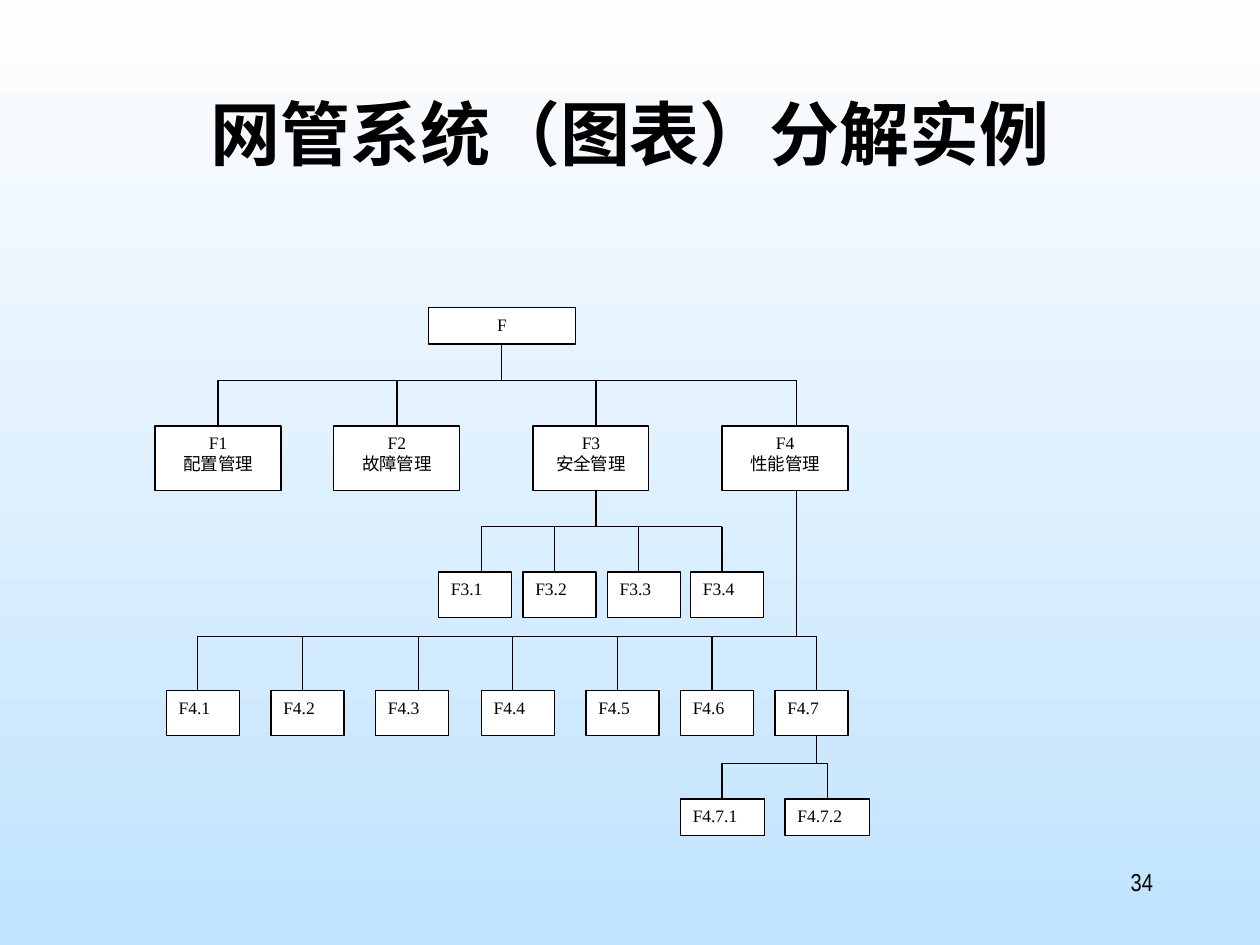
from lxml import etree
from pptx import Presentation
from pptx.dml.color import RGBColor
from pptx.enum.shapes import MSO_CONNECTOR, MSO_SHAPE
from pptx.enum.text import MSO_ANCHOR, PP_ALIGN
from pptx.oxml.ns import qn
from pptx.util import Pt

TITLE = "网管系统（图表）分解实例"
PAGE = "34"
CJK, SERIF, NARROW = "Noto Sans CJK SC", "Times New Roman", "Arial Narrow"
BLACK, WHITE = "000000", "FFFFFF"

ROOT = ("F", 244.8, 175.7, 84.2, 20.9)  # text, left, top, width, height

# Each branch: its parent, trunk x, bus y, box top and height, text alignment,
# and children as (text, left, width, x of the line from the bus)
BRANCHES = [
    dict(parent="F", trunk=286.6, bus=217.4, top=243.4, height=36.7,
         align=PP_ALIGN.CENTER, children=[
             ("F1\n配置管理", 88.6, 72, 124.6),
             ("F2\n故障管理", 190.8, 72, 226.8),
             ("F3\n安全管理", 304.6, 66.2, 340.6),
             ("F4\n性能管理", 412.6, 72, 455)]),
    dict(parent="F3", trunk=340.6, bus=301, top=326.9, height=25.9,
         align=PP_ALIGN.JUSTIFY, children=[
             ("F3.1", 250.6, 41.8, 275),
             ("F3.2", 298.8, 41.8, 316.8),
             ("F3.3", 347, 41.8, 365),
             ("F3.4", 394.6, 41.8, 412.6)]),
    dict(parent="F4", trunk=455, bus=363.6, top=394.6, height=25.9,
         align=PP_ALIGN.JUSTIFY, children=[
             ("F4.1", 95, 41.8, 113),
             ("F4.2", 154.8, 41.8, 172.8),
             ("F4.3", 214.6, 41.8, 239),
             ("F4.4", 275, 41.8, 293),
             ("F4.5", 334.8, 41.8, 352.8),
             ("F4.6", 388.8, 41.8, 406.8),
             ("F4.7", 442.8, 41.8, 466.6)]),
    dict(parent="F4.7", trunk=466.6, bus=436.3, top=456.5, height=20.9,
         align=PP_ALIGN.JUSTIFY, children=[
             ("F4.7.1", 388.8, 48.2, 412.6),
             ("F4.7.2", 448.6, 48.2, 473)]),
]


def rgb(value):
    return RGBColor.from_string(value)


def write(s, text, size, font, align, bold=False):
    tf = s.text_frame
    tf.word_wrap = True
    tf.vertical_anchor = MSO_ANCHOR.TOP
    tf.text = text
    for p in tf.paragraphs:
        p.alignment = align
        for r in p.runs:
            r.font.size = Pt(size)
            r.font.bold = bold
            r.font.name = font
            r.font.color.rgb = rgb(BLACK)
            ea = etree.Element(qn("a:ea"), typeface=CJK)
            r.font._element.find(qn("a:latin")).addnext(ea)


def add_text(slide, box, *style, **options):
    s = slide.shapes.add_textbox(*map(Pt, box))
    write(s, *style, **options)


def add_node(slide, text, left, top, width, height, align):
    s = slide.shapes.add_shape(MSO_SHAPE.RECTANGLE, *map(Pt, (left, top, width, height)))
    s.shadow.inherit = False
    s.fill.solid()
    s.fill.fore_color.rgb = rgb(WHITE)
    s.line.color.rgb = rgb(BLACK)
    s.line.width = Pt(0.75)
    write(s, text, 10, SERIF, align)


def add_line(slide, *ends):
    c = slide.shapes.add_connector(MSO_CONNECTOR.STRAIGHT, *map(Pt, ends))
    c.line.color.rgb = rgb(BLACK)
    c.line.width = Pt(0.75)
    etree.SubElement(c._element.spPr, qn("a:effectLst"))


def add_tree(slide):
    name, left, top, width, height = ROOT
    add_node(slide, *ROOT, PP_ALIGN.CENTER)
    bottoms = {name: top + height}
    for b in BRANCHES:
        bus, top, height = b["bus"], b["top"], b["height"]
        drops = [child[-1] for child in b["children"]]
        add_line(slide, b["trunk"], bottoms[b["parent"]], b["trunk"], bus)
        add_line(slide, drops[0], bus, drops[-1], bus)
        for text, left, width, drop in b["children"]:
            add_line(slide, drop, bus, drop, top)
            add_node(slide, text, left, top, width, height, b["align"])
            bottoms[text.split("\n")[0]] = top + height


def main():
    prs = Presentation()
    prs.slide_width, prs.slide_height = Pt(720), Pt(540)
    slide = prs.slides.add_slide(prs.slide_layouts[6])

    fill = slide.background.fill
    fill.gradient()
    fill.gradient_angle = 270  # counted anticlockwise: top to bottom
    for stop, position, color in zip(fill.gradient_stops, (0, 1), ("FEFEFE", "C0E3FE")):
        stop.position = position
        stop.color.rgb = rgb(color)

    add_text(slide, (54, 48, 612, 90), TITLE, 40, CJK, PP_ALIGN.CENTER, bold=True)
    add_tree(slide)
    add_text(slide, (516, 492, 150, 36), PAGE, 14, NARROW, PP_ALIGN.RIGHT)
    prs.save("out.pptx")


if __name__ == "__main__":
    main()
